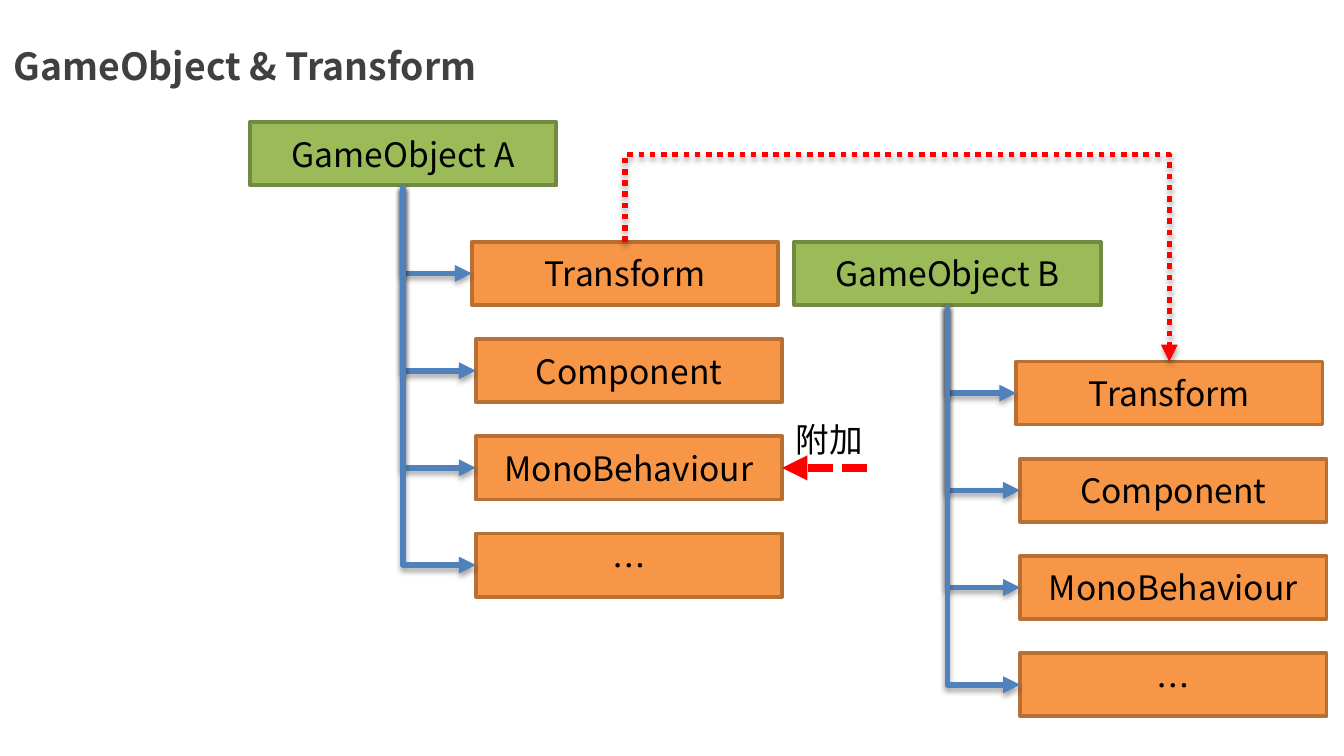
from lxml.etree import SubElement
from pptx import Presentation
from pptx.dml.color import RGBColor
from pptx.enum.dml import MSO_LINE
from pptx.enum.shapes import MSO_CONNECTOR as CONN, MSO_SHAPE as SHAPE
from pptx.enum.text import MSO_ANCHOR as ANCHOR, MSO_AUTO_SIZE as FIT, PP_ALIGN as ALIGN
from pptx.oxml.ns import qn
from pptx.util import Inches, Pt

BLACK = RGBColor(0x00, 0x00, 0x00)
GRAY = RGBColor(0x40, 0x40, 0x40)
GREEN = RGBColor(0x9B, 0xBB, 0x59)
GREEN_EDGE = RGBColor(0x73, 0x8A, 0x42)
ORANGE = RGBColor(0xF7, 0x96, 0x46)
ORANGE_EDGE = RGBColor(0xB7, 0x6F, 0x34)
BLUE = RGBColor(0x4F, 0x81, 0xBD)
RED = RGBColor(0xFF, 0x00, 0x00)

BODY_FONT = "Noto Sans CJK KR"
HAN_FONT = "Noto Sans CJK SC"

BOX_W, BOX_H = 2.28, 0.47
STEP_X, STEP_Y = 4.05, 0.89  # from object A to object B
ROW_PITCH = 2.17 / 3  # first to last part, in three steps
PARTS = ["Transform", "Component", "MonoBehaviour", "…"]


def write(tf, text, font=BODY_FONT, size=18, color=BLACK, bold=False, align=ALIGN.LEFT):
    p = tf.paragraphs[0]
    p.alignment = align
    r = p.add_run()
    r.text = text
    r.font.size, r.font.bold = Pt(size), bold
    r.font.color.rgb = color
    r.font.name = font
    SubElement(r.font._element, qn("a:ea"), typeface=font)


class Diagram:
    def __init__(self, slide):
        self.s = slide

    def title(self, text):
        sp = self.s.shapes.title
        sp.left, sp.top, sp.width, sp.height = 0, 0, Inches(10), Inches(0.97)
        tf = sp.text_frame
        tf.auto_size, tf.vertical_anchor = FIT.NONE, ANCHOR.MIDDLE
        write(tf, text, font=HAN_FONT, size=20, color=GRAY, bold=True)

    def box(self, x, y, text, fill, edge):
        sp = self.s.shapes.add_shape(
            SHAPE.RECTANGLE, Inches(x), Inches(y), Inches(BOX_W), Inches(BOX_H))
        sp.shadow.inherit = False
        sp.fill.solid()
        sp.fill.fore_color.rgb = fill
        sp.line.color.rgb = edge
        sp.line.width = Pt(2)
        sp.text_frame.vertical_anchor = ANCHOR.MIDDLE
        write(sp.text_frame, text, align=ALIGN.CENTER)
        return sp

    def label(self, x, y, w, h, text):
        tf = self.s.shapes.add_textbox(Inches(x), Inches(y), Inches(w), Inches(h)).text_frame
        tf.word_wrap, tf.auto_size = False, FIT.SHAPE_TO_FIT_TEXT
        write(tf, text, font=HAN_FONT)

    def arrow(self, kind, x1, y1, x2, y2, color, width, dash=None):
        c = self.s.shapes.add_connector(kind, Inches(x1), Inches(y1), Inches(x2), Inches(y2))
        c.line.color.rgb = color
        c.line.width = Pt(width)
        if dash:
            c.line.dash_style = dash
        SubElement(c.line._get_or_add_ln(), qn("a:tailEnd"), type="triangle")
        effects = SubElement(c._element.spPr, qn("a:effectLst"))
        return c, effects

    def elbow(self, x1, y1, x2, y2, preset, color, dash=None, bend=None):
        """Arrow that leaves vertically: an elbow turned by 270 degrees."""
        cx, cy = (x1 + x2) / 2, (y1 + y2) / 2
        w, h = y2 - y1, x2 - x1  # swapped by the turn
        c, effects = self.arrow(CONN.ELBOW, cx + w / 2, cy - h / 2,
                                cx - w / 2, cy + h / 2, color, 3, dash)
        sp_pr = c._element.spPr
        sp_pr.find(qn("a:xfrm")).set("rot", str(270 * 60000))
        geom = sp_pr.find(qn("a:prstGeom"))
        geom.set("prst", preset)
        if bend is not None:
            SubElement(geom.find(qn("a:avLst")), qn("a:gd"),
                       name="adj1", fmla=f"val {round(bend * 100000)}")
        shadow = SubElement(effects, qn("a:outerShdw"), blurRad=str(Pt(3.1)),
                            dist=str(Pt(1.8)), dir=str(90 * 60000), rotWithShape="0")
        rgb = SubElement(shadow, qn("a:srgbClr"), val=str(BLACK))
        SubElement(rgb, qn("a:alpha"), val="35000")

    def game_object(self, x, y, name):
        """A head box with its parts hanging below; returns the part boxes."""
        self.box(x, y, name, GREEN, GREEN_EDGE)
        spots = [(x + (1.68 if i else 1.65), y + STEP_Y + i * ROW_PITCH)
                 for i in range(len(PARTS))]
        boxes = [self.box(px, py, part, ORANGE, ORANGE_EDGE)
                 for (px, py), part in zip(spots, PARTS)]
        for px, py in spots:
            self.elbow(x + BOX_W / 2, y + BOX_H, px, py + BOX_H / 2,
                       "bentConnector2", BLUE)
        return boxes


def main():
    prs = Presentation()
    prs.slide_width = Inches(10)
    prs.slide_height = prs.slide_width * 9 // 16
    d = Diagram(prs.slides.add_slide(prs.slide_layouts[5]))
    d.title("GameObject & Transform")

    # The two objects and their parts
    ax, ay = 1.86, 0.91
    parts_a = d.game_object(ax, ay, "GameObject A")
    d.game_object(ax + STEP_X, ay + STEP_Y, "GameObject B")

    # Link from one Transform to the other
    x, y = ax + 1.65 + BOX_W / 2, ay + STEP_Y
    d.elbow(x, y, x + STEP_X, y + STEP_Y, "bentConnector3", RED,
            dash=MSO_LINE.ROUND_DOT, bend=-0.73)

    # Attachment mark on MonoBehaviour
    d.label(5.82, 3.07, 0.71, 0.4, "附加")
    c, _ = d.arrow(CONN.STRAIGHT, 6.45, 3.48, 5.82, 3.48, RED, 4.5, MSO_LINE.SQUARE_DOT)
    c.end_connect(parts_a[2], 3)
    c.begin_y = c.end_y

    prs.save("out.pptx")


if __name__ == "__main__":
    main()
